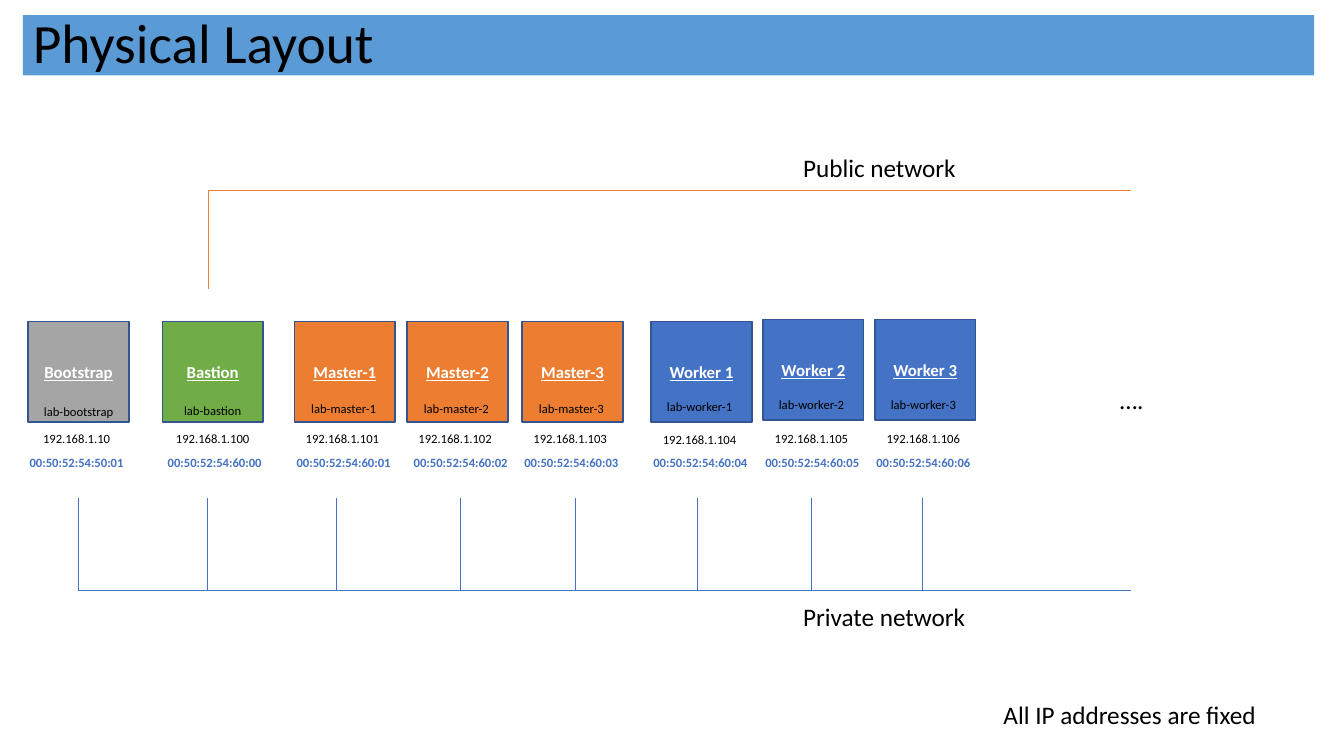
from pptx import Presentation
from pptx.dml.color import RGBColor
from pptx.enum.shapes import MSO_CONNECTOR as CONN, MSO_SHAPE as SHAPE
from pptx.enum.text import MSO_ANCHOR as ANCHOR, MSO_AUTO_SIZE as AUTO, PP_ALIGN as ALIGN
from pptx.oxml.ns import qn
from pptx.util import Cm, Pt
from lxml import etree

FONT = "Calibri"
BLACK = RGBColor(0x00, 0x00, 0x00)
WHITE = RGBColor(0xFF, 0xFF, 0xFF)
SKY = RGBColor(0x5B, 0x9B, 0xD5)
BLUE = RGBColor(0x44, 0x72, 0xC4)
NAVY = RGBColor(0x32, 0x54, 0x91)
GRAY = RGBColor(0xA5, 0xA5, 0xA5)
GREEN = RGBColor(0x70, 0xAD, 0x47)
ORANGE = RGBColor(0xED, 0x7D, 0x31)

SIDE = 2.54      # node square
LABEL_H = 0.64
MAC_W = 2.9
BUS_RIGHT = 28.5

# Role: fill, host label offset (x, y) and address offset x from the square
ROLES = {
    "bootstrap": (GRAY, 0, 1.96, -0.05),
    "bastion": (GREEN, 0, 1.93, 0),
    "master": (ORANGE, -0.03, 1.88, -0.06),
    "worker": (BLUE, -0.05, 1.83, -0.05),
}

# Role, name, host, last IP part, MAC ending, left, top, IP top, MAC shift, drop x
NODES = [
    ("bootstrap", "Bootstrap", "lab-bootstrap", 10, "50:01", 0.71, 8.1, 10.74, -0.05, 1.98),
    ("bastion", "Bastion", "lab-bastion", 100, "60:00", 4.09, 8.1, 10.74, 0.05, 5.23),
    ("master", "Master-1", "lab-master-1", 101, "60:01", 7.42, 8.1, 10.74, -0.03, 8.48),
    ("master", "Master-2", "lab-master-2", 102, "60:02", 10.26, 8.1, 10.74, 0.08, 11.61),
    ("master", "Master-3", "lab-master-3", 103, "60:03", 13.16, 8.1, 10.74, -0.03, 14.5),
    ("worker", "Worker 1", "lab-worker-1", 104, "60:04", 16.41, 8.1, 10.77, -0.03, 17.58),
    ("worker", "Worker 2", "lab-worker-2", 105, "60:05", 19.23, 8.05, 10.74, -0.03, 20.45),
    ("worker", "Worker 3", "lab-worker-3", 106, "60:06", 22.05, 8.05, 10.74, -0.05, 23.24),
]


def add_run(tf, text, size, color=BLACK, align=ALIGN.LEFT, bold=False, underline=False):
    p = tf.paragraphs[0]
    p.alignment = align
    r = p.add_run()
    r.text = text
    r.font.name, r.font.size = FONT, Pt(size)
    r.font.bold, r.font.underline = bold, underline
    r.font.color.rgb = color
    return p


def add_label(s, text, x, y, w, h=LABEL_H, size=9, wrap=True, **style):
    tf = s.shapes.add_textbox(Cm(x), Cm(y), Cm(w), Cm(h)).text_frame
    tf.word_wrap = wrap
    tf.auto_size = AUTO.SHAPE_TO_FIT_TEXT
    add_run(tf, text, size, **style)


def add_rect(s, x, y, w, h, fill):
    sp = s.shapes.add_shape(SHAPE.RECTANGLE, Cm(x), Cm(y), Cm(w), Cm(h))
    sp.shadow.inherit = False
    sp.fill.solid()
    sp.fill.fore_color.rgb = fill
    sp.line.fill.background()
    sp.text_frame.vertical_anchor = ANCHOR.MIDDLE
    return sp


def add_line(s, x1, y1, x2, y2, color):
    line = s.shapes.add_connector(CONN.STRAIGHT, Cm(x1), Cm(y1), Cm(x2), Cm(y2))
    line.line.color.rgb = color
    line.line.width = Pt(0.5)
    etree.SubElement(line._element.spPr, qn("a:effectLst"))


def add_title(s, x, y, w, h):
    sp = add_rect(s, x, y, w, h, SKY)
    p = add_run(sp.text_frame, "Physical Layout", 39.6)
    p.line_spacing = 0.9


def add_node(s, x, y, role, name, host, ip, ip_top, mac, mac_shift):
    fill, host_dx, host_dy, ip_dx = ROLES[role]
    sp = add_rect(s, x, y, SIDE, SIDE, fill)
    sp.line.color.rgb = NAVY
    sp.line.width = Pt(1)
    add_run(sp.text_frame, name, 12, WHITE, ALIGN.CENTER, bold=True, underline=True)
    add_label(s, host, x + host_dx, y + host_dy, SIDE, align=ALIGN.CENTER)
    add_label(s, ip, x + ip_dx, ip_top, SIDE, align=ALIGN.CENTER)
    add_label(s, mac, x + (SIDE - MAC_W) / 2 + mac_shift, 11.33, MAC_W,
              color=BLUE, align=ALIGN.CENTER, bold=True)


def add_network(s, name, x, bus_y, drops, drop_y, label_y, label_w, color):
    add_line(s, x, bus_y, BUS_RIGHT, bus_y, color)
    for drop in drops:
        add_line(s, drop, bus_y, drop, drop_y, color)
    add_label(s, name, 19.99, label_y, label_w, 1.02, 18, wrap=False)


prs = Presentation()
prs.slide_width, prs.slide_height = Cm(33.87), Cm(19.05)
s = prs.slides.add_slide(prs.slide_layouts[6])

add_title(s, 0.58, 0.38, 32.54, 1.52)

# Networks above and below the nodes
drops = [node[-1] for node in NODES]
add_network(s, "Public network", 5.26, 4.8, [5.26], 7.29, 3.71, 4.39, ORANGE)
add_network(s, "Private network", drops[0], 14.88, drops, 12.55, 15.04, 4.65, BLUE)

# Row of nodes
for role, name, host, ip, mac, x, y, ip_top, mac_shift, _ in NODES:
    add_node(s, x, y, role, name, host, f"192.168.1.{ip}", ip_top,
             f"00:50:52:54:{mac}", mac_shift)

# Side remarks
add_label(s, "….", 27.97, 9.55, 1.12, 1.02, 18, wrap=False)
add_label(s, "All IP addresses are fixed", 25.04, 17.5, 6.93, 1.02, 18, wrap=False)

prs.save("out.pptx")
